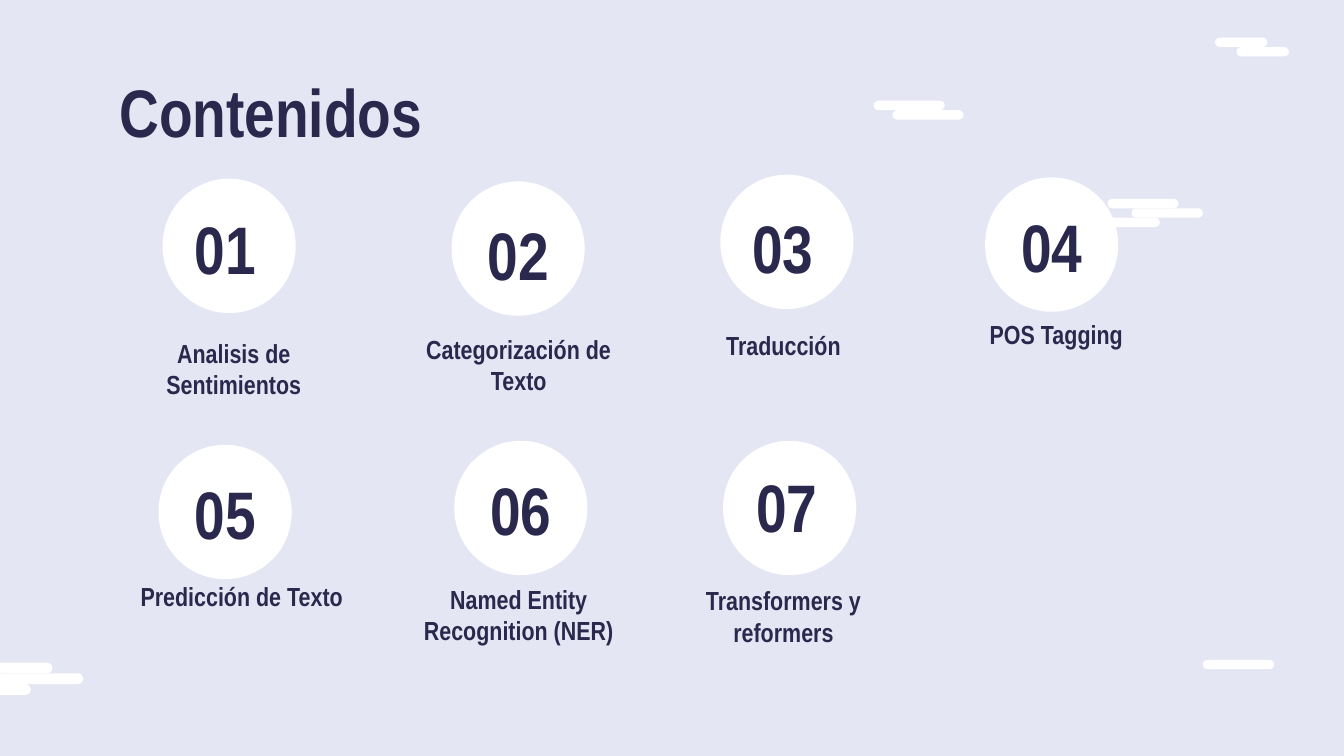
"""Build the contents slide: seven numbered topics on a pale sky with clouds."""
from dataclasses import dataclass

from pptx import Presentation
from pptx import util as u
from pptx.dml.color import RGBColor
from pptx.enum import shapes, text

INK, SKY, WHITE = "2A284C", "E4E6F4", "FFFFFF"
FONT = "Arial Narrow"
WIDE = u.Inches(10)
COLS = (1.2, 3.37, 5.37, 7.33)
ROWS = (1.32, 3.29)
Point = tuple[float, float]


@dataclass
class Cloud:
    width: float
    height: float
    bars: tuple[Point, ...]


@dataclass
class Topic:
    name: str
    disc: Point
    mark: Point
    label: Point


CLOUDS = (
    Cloud(0.65, 0.08, ((-0.03, 5.01), (-0.26, 4.93), (-0.42, 5.09))),
    Cloud(0.53, 0.07, ((8.42, 1.55), (8.24, 1.48), (8.1, 1.62))),
    Cloud(0.53, 0.07, ((6.5, 0.75), (6.64, 0.82))),
    Cloud(0.53, 0.07, ((8.95, 4.91),)),
    Cloud(0.39, 0.07, ((9.2, 0.35), (9.04, 0.28))),
)
TOPICS = (
    Topic("Analisis de Sentimientos", (0.01, 0.01), (0.08, 0.23), (-0.41, 1.09)),
    Topic("Categorización de Texto", (-0.01, 0.03), (0.11, 0.25), (-0.46, 1.06)),
    Topic("Traducción", (-0.01, -0.02), (0.08, 0.25), (-0.49, 1.03)),
    Topic("POS Tagging", (0, 0), (0.11, 0.22), (-0.42, 0.95)),
    Topic("Predicción de Texto", (-0.02, 0.02), (0.11, 0.22), (-0.35, 0.93)),
    Topic("Named Entity Recognition (NER)", (0.01, -0.01), (0.11, 0.22), (-0.46, 0.95)),
    Topic("Transformers y reformers", (0.01, -0.01), (0.09, 0.2), (-0.49, 0.96)),
)


def paint(fill, tone: str) -> None:
    """Make a fill solid in a hex colour."""
    fill.solid()
    fill.fore_color.rgb = RGBColor.from_string(tone)


def shift(start: Point, step: Point) -> Point:
    """Move a point by a step."""
    return start[0] + step[0], start[1] + step[1]


def pill(slide, spot: Point, width: float, height: float) -> None:
    """Draw a white shape with fully round ends."""
    shape = slide.shapes.add_shape(
        shapes.MSO_SHAPE.ROUNDED_RECTANGLE, *map(u.Inches, (*spot, width, height)))
    shape.adjustments[0] = 0.5
    shape.shadow.inherit = False
    paint(shape.fill, WHITE)
    shape.line.fill.background()


def write(slide, words: str, spot: Point, size: Point, points: int,
          align=text.PP_ALIGN.CENTER, anchor=text.MSO_ANCHOR.TOP) -> None:
    """Write one bold paragraph in a text box."""
    frame = slide.shapes.add_textbox(*map(u.Inches, (*spot, *size))).text_frame
    frame.word_wrap = True
    frame.vertical_anchor = anchor
    frame.margin_left = frame.margin_right = u.Inches(0.1)
    frame.margin_top = frame.margin_bottom = u.Inches(0.1)
    line = frame.paragraphs[0]
    line.text = words
    line.alignment = align
    line.font.name, line.font.size, line.font.bold = FONT, u.Pt(points), True
    paint(line.font.fill, INK)


def place(slide, index: int, topic: Topic) -> None:
    """Draw a topic's disc, number and label in its grid cell."""
    row, col = divmod(index, len(COLS))
    cell = COLS[col], ROWS[row]
    disc = shift(cell, topic.disc)
    pill(slide, disc, 0.99, 1)
    write(slide, f"{index + 1:02}", shift(disc, topic.mark), (0.77, 0.57), 36,
          anchor=text.MSO_ANCHOR.MIDDLE)
    write(slide, topic.name, shift(cell, topic.label), (1.9, 0.33), 14)


def main() -> None:
    """Build and save the slide."""
    deck = Presentation()
    deck.slide_width, deck.slide_height = WIDE, WIDE * 9 // 16
    slide = deck.slides.add_slide(deck.slide_layouts[6])
    paint(slide.background.fill, SKY)
    for cloud in CLOUDS:
        for spot in cloud.bars:
            pill(slide, spot, cloud.width, cloud.height)
    write(slide, "Contenidos", (0.79, 0.42), (8.43, 0.67), 36, text.PP_ALIGN.LEFT)
    for index, topic in enumerate(TOPICS):
        place(slide, index, topic)
    deck.save("out.pptx")


main()
